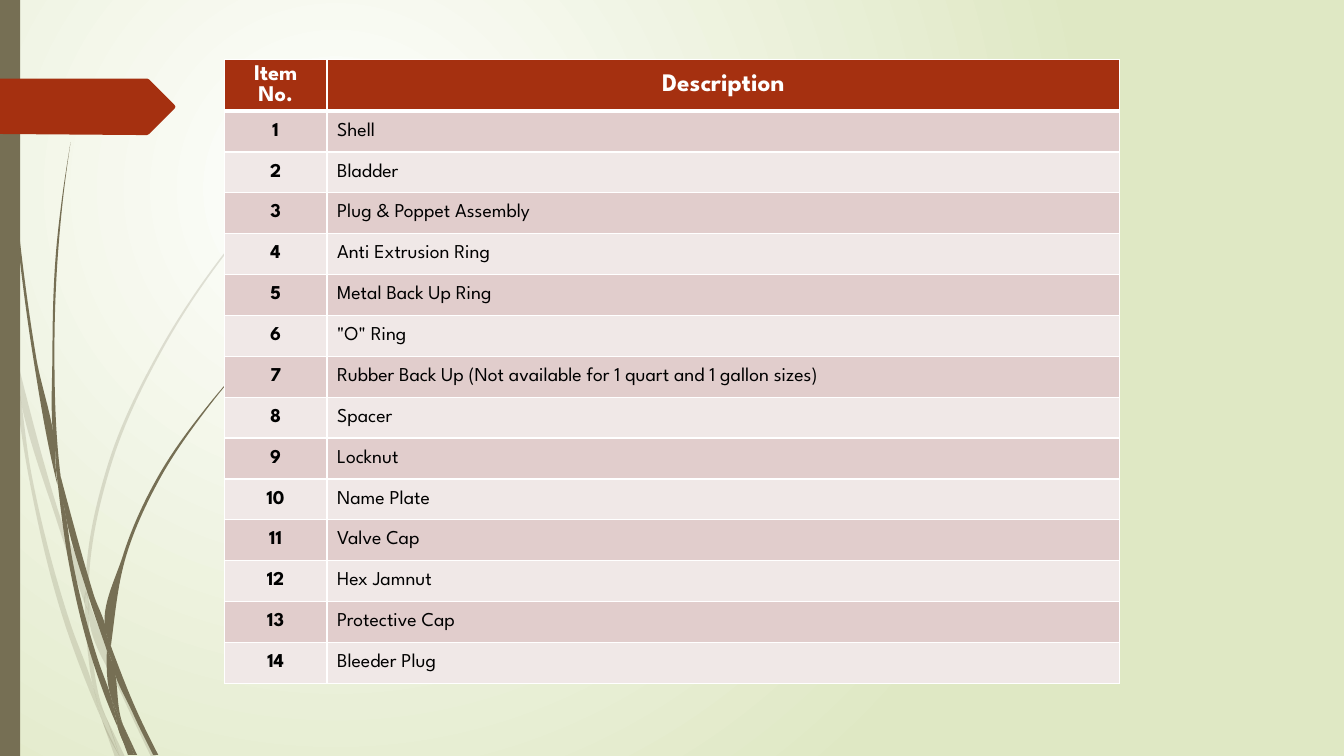
from dataclasses import dataclass
from math import hypot

from lxml.etree import SubElement
from pptx import Presentation
from pptx.dml.color import RGBColor
from pptx.enum.shapes import MSO_SHAPE
from pptx.enum.text import MSO_ANCHOR, PP_ALIGN
from pptx.oxml.ns import qn
from pptx.util import Inches, Pt


@dataclass(frozen=True)
class Theme:
    font: str = "League Spartan"
    white: str = "FFFFFF"
    black: str = "000000"
    backdrop: str = "DFE8C4"
    stem: str = "766F54"
    accent: str = "A53010"
    bands: tuple = ("E1CDCC", "F0E8E7")
    heading_sizes: tuple = (16, 18)
    body: int = 14


# The grid has 1333 columns and 750 rows, each a hundredth of an inch
COLUMNS, ROWS = 1333, 750


def grid(count):
    return Inches(count / 100)


def direction(before, point, after):
    """Return the unit tangent at a smooth point, or None at a corner."""
    a, b = point - before, after - point
    if (a * b.conjugate()).real < 0.7 * abs(a) * abs(b):
        return None
    tangent = a / abs(a) ** 2 + b / abs(b) ** 2
    return tangent / hypot(tangent.real, tangent.imag)


def curve_controls(points):
    """Return two control points for each side of a closed outline."""
    nodes = [complex(x, y) for x, y in points]
    count = len(nodes)
    tangents = [direction(nodes[i - 1], nodes[i], nodes[(i + 1) % count]) for i in range(count)]
    for i, start in enumerate(nodes):
        end = nodes[(i + 1) % count]
        chord = end - start
        leave, arrive = (t and t * abs(chord) for t in (tangents[i], tangents[(i + 1) % count]))
        if leave is None:
            leave = chord if arrive is None else 1.5 * chord - arrive / 2
        if arrive is None:
            arrive = 1.5 * chord - leave / 2
        yield start + leave / 3, end - arrive / 3


class SlideBuilder:
    def __init__(self, presentation, theme):
        self.theme = theme
        self.slide = presentation.slides.add_slide(presentation.slide_layouts[6])

    def background(self):
        fill = self.slide.background.fill
        fill.gradient()
        for stop, color in zip(fill.gradient_stops, (self.theme.white, self.theme.backdrop)):
            stop.color.rgb = RGBColor.from_string(color)
        linear = next(self.slide.element.iter(qn("a:lin")))
        gradient = linear.getparent()
        gradient.remove(linear)
        circle = SubElement(gradient, qn("a:path"), path="circle")
        SubElement(circle, qn("a:fillToRect"), l="50000", t="50000", r="100000", b="100000")

    def paint(self, shape, color, opacity=100):
        shape.shadow.inherit = False
        shape.fill.solid()
        shape.fill.fore_color.rgb = RGBColor.from_string(color)
        shape.line.fill.background()
        if opacity < 100:
            color_element = next(shape.element.spPr.iter(qn("a:srgbClr")))
            SubElement(color_element, qn("a:alpha"), val=str(opacity * 1000))

    def outline(self, points, color, opacity=100, curved=False):
        corners = [(grid(x), grid(y)) for x, y in points]
        builder = self.slide.shapes.build_freeform(*corners[0], scale=1.0)
        builder.add_line_segments(corners[1:] + corners[:1], close=True)
        shape = builder.convert_to_shape()
        if curved:
            sides = list(shape.element.spPr.iter(qn("a:lnTo")))
            for side, controls in zip(sides, curve_controls(points)):
                side.tag = qn("a:cubicBezTo")
                for position, control in enumerate(controls):
                    x, y = grid(control.real) - shape.left, grid(control.imag) - shape.top
                    side.insert(position, SubElement(side, qn("a:pt"), x=str(x), y=str(y)))
        self.paint(shape, color, opacity)

    def bar(self, left, top, width, height, color):
        position = map(grid, (left, top, width, height))
        self.paint(self.slide.shapes.add_shape(MSO_SHAPE.RECTANGLE, *position), color)

    def cell(self, cell, text, size, color, fill, bold, centred, bottom=1):
        cell.fill.solid()
        cell.fill.fore_color.rgb = RGBColor.from_string(fill)
        cell.vertical_anchor = MSO_ANCHOR.MIDDLE
        paragraph = cell.text_frame.paragraphs[0]
        paragraph.alignment = PP_ALIGN.CENTER if centred else PP_ALIGN.LEFT
        run = paragraph.add_run()
        run.text = text
        run.font.name, run.font.size, run.font.bold = self.theme.font, Pt(size), bold
        run.font.color.rgb = RGBColor.from_string(color)
        # Borders come before the fill in the cell properties
        properties = cell._tc.get_or_add_tcPr()
        widths = {"lnL": 1, "lnR": 1, "lnT": 1, "lnB": bottom}
        for position, (side, width) in enumerate(widths.items()):
            border = SubElement(properties, qn(f"a:{side}"), w=str(Pt(width)))
            solid = SubElement(border, qn("a:solidFill"))
            SubElement(solid, qn("a:srgbClr"), val=self.theme.white)
            properties.insert(position, border)

    def parts_table(self, left, top, widths, height, row_height, headings, parts):
        theme = self.theme
        frame = self.slide.shapes.add_table(
            len(parts) + 1, len(widths), *map(grid, (left, top, sum(widths), height)))
        table = frame.table
        table.horz_banding = False
        for column, width in zip(table.columns, widths):
            column.width = grid(width)
        for row in table.rows:
            row.height = grid(row_height)
        frame.height = grid(height)
        for column, (heading, size) in enumerate(zip(headings, theme.heading_sizes)):
            self.cell(table.cell(0, column), heading, size, theme.white, theme.accent,
                      True, True, bottom=3)
        for number, part in enumerate(parts, 1):
            band = theme.bands[(number - 1) % 2]
            for column, text in enumerate((str(number), part)):
                first = column == 0
                self.cell(table.cell(number, column), text, theme.body, theme.black,
                          band, first, first)


# Leaf pieces of the grass stems, as (column, row) points
PALE_LEAVES = [
    [(11, 350), (9, 322), (0, 282), (0, 299), (10, 344)],
    [(58, 522), (84, 599), (85, 586), (62, 520), (14, 345), (17, 376)],
    [(92, 607), (88, 596), (88, 610), (123, 694), (150, 751), (155, 751), (127, 692)],
    [(119, 751), (124, 751), (105, 711)],
    [(93, 683), (70, 619), (31, 469), (17, 376), (11, 350), (28, 470), (65, 621),
     (92, 693), (101, 714), (99, 707)],
    [(84, 599), (87, 646), (93, 683), (96, 692), (105, 711), (103, 706), (91, 646),
     (88, 610), (88, 608)],
    [(88, 584), (110, 462), (160, 349), (229, 245), (268, 198), (290, 175), (312, 154),
     (312, 153), (289, 175), (268, 197), (228, 244), (158, 348), (107, 461), (85, 584),
     (85, 586), (88, 596)],
    [(101, 714), (114, 751), (119, 751)],
    [(88, 608), (88, 610), (88, 596), (85, 586), (84, 599)],
    [(96, 692), (93, 683), (99, 707), (101, 714), (119, 751), (105, 711)],
]
DARK_LEAVES = [
    [(7, 110), (17, 233), (33, 355), (56, 477), (57, 481), (55, 457), (55, 453), (36, 355),
     (19, 232), (8, 109), (5, 48), (4, 0), (3, 0), (4, 48)],
    [(88, 592), (106, 645), (106, 633), (106, 631), (93, 590), (60, 472), (64, 505)],
    [(113, 649), (110, 641), (111, 656), (132, 708), (152, 749), (157, 749), (136, 706)],
    [(110, 691), (98, 657), (72, 556), (64, 505), (57, 477), (68, 557), (93, 659),
     (111, 708), (117, 722), (116, 717)],
    [(60, 472), (58, 453), (54, 349), (58, 245), (63, 193), (70, 141), (62, 193), (56, 245),
     (52, 349), (55, 449)],
    [(133, 749), (136, 749), (122, 719)],
    [(57, 477), (64, 505), (60, 472), (55, 449), (55, 453)],
    [(111, 633), (125, 552), (158, 476), (205, 406), (231, 374), (245, 359), (261, 344),
     (260, 344), (245, 358), (231, 373), (204, 405), (156, 474), (122, 551), (106, 631),
     (110, 641)],
    [(117, 722), (127, 749), (131, 749)],
    [(106, 645), (110, 691), (116, 706), (122, 719), (121, 716), (111, 656), (109, 651)],
    [(106, 645), (109, 651), (111, 656), (110, 641), (106, 631), (106, 633)],
    [(116, 706), (110, 691), (116, 717), (117, 722), (130, 749), (133, 749), (122, 719)],
]
ARROW_TAB = [(173, 108), (148, 133), (146, 134), (136, 134), (0, 133), (0, 78), (136, 78),
             (146, 78), (148, 79), (173, 104), (174, 106)]
PARTS = [
    "Shell", "Bladder", "Plug & Poppet Assembly", "Anti Extrusion Ring", "Metal Back Up Ring",
    '"O" Ring', "Rubber Back Up (Not available for 1 quart and 1 gallon sizes)", "Spacer",
    "Locknut", "Name Plate", "Valve Cap", "Hex Jamnut", "Protective Cap", "Bleeder Plug",
]


def main():
    presentation = Presentation()
    presentation.slide_width, presentation.slide_height = grid(COLUMNS), grid(ROWS)
    theme = Theme()
    builder = SlideBuilder(presentation, theme)
    # Backdrop and grass stems
    builder.background()
    for leaves, opacity in ((PALE_LEAVES, 20), (DARK_LEAVES, 100)):
        for leaf in leaves:
            builder.outline(leaf, theme.stem, opacity, curved=True)
    # Side bar and arrow tab
    builder.bar(0, 0, 20, ROWS, theme.stem)
    builder.outline(ARROW_TAB, theme.accent)
    # Parts list
    builder.parts_table(222.4, 59.4, (102, 786), 631, 40.57, ("Item No.", "Description"), PARTS)
    presentation.save("out.pptx")


if __name__ == "__main__":
    main()
